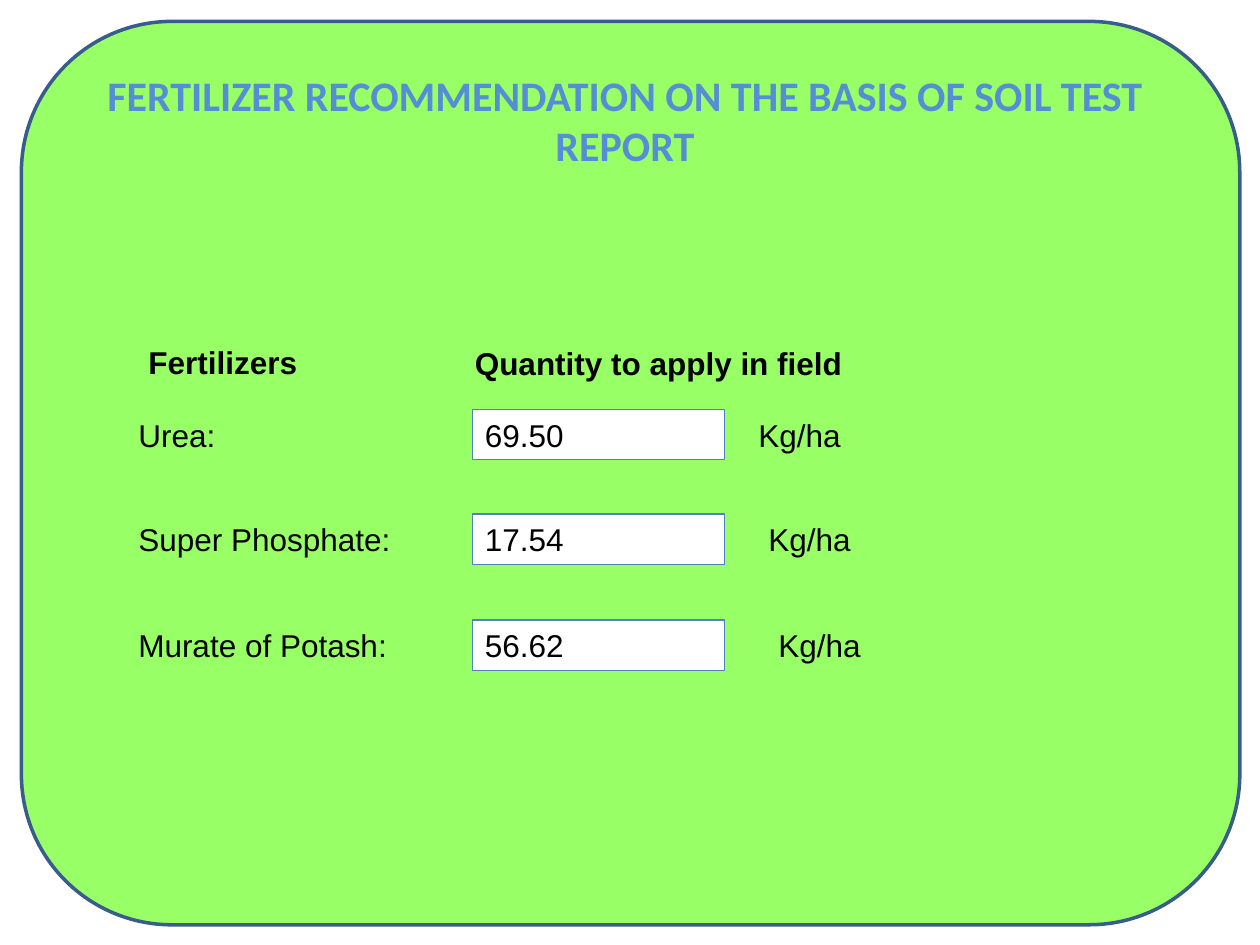
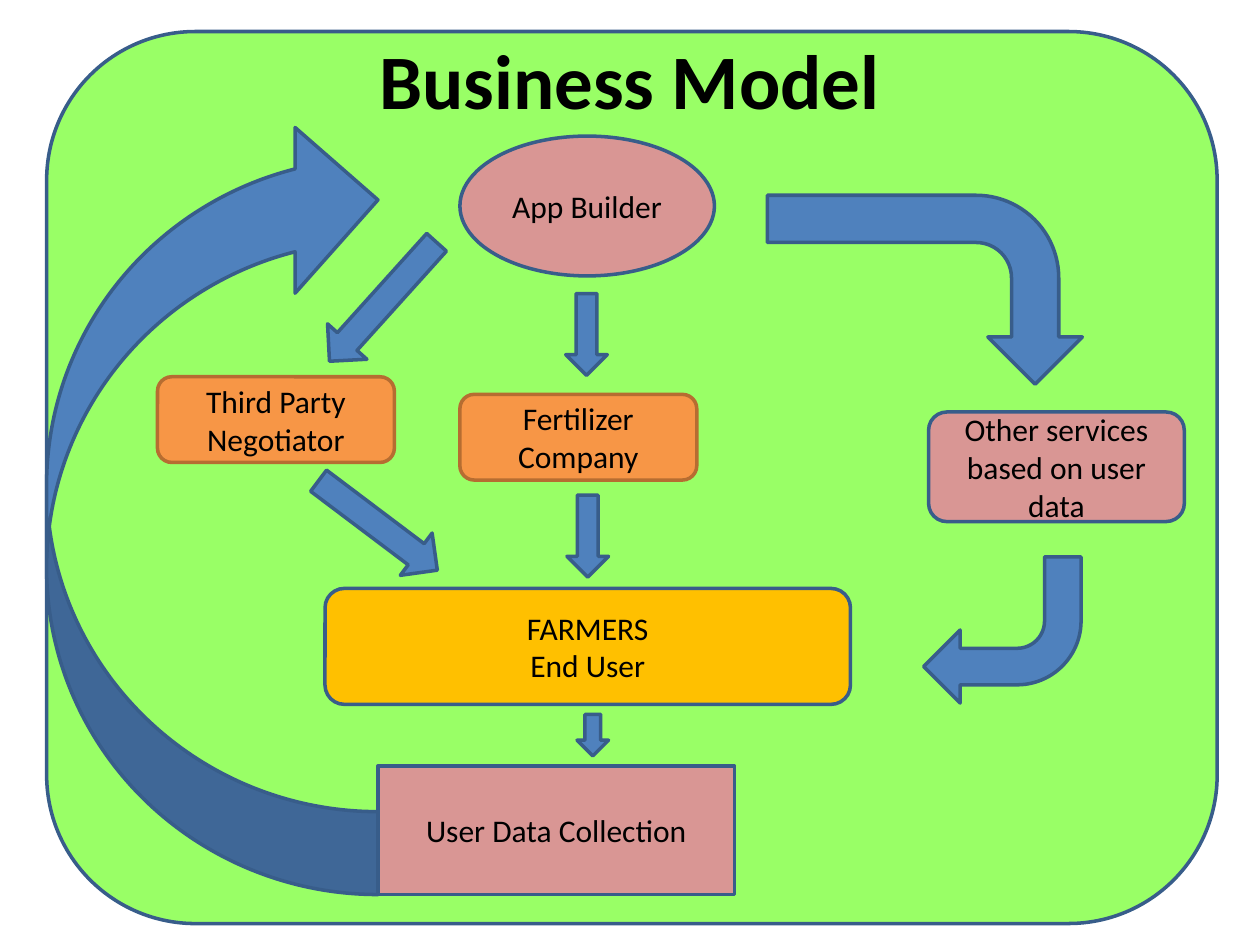
"""Build the fertilizer recommendation and business model slides."""
from pptx import Presentation
from pptx.dml.color import RGBColor
from pptx.enum.shapes import MSO_SHAPE
from pptx.enum.text import MSO_ANCHOR, MSO_AUTO_SIZE, PP_ALIGN
from pptx.util import Emu, Pt

PX = 9144
TITLE_ONLY = 5


def px(*lengths):
    return [Emu(length * PX) for length in lengths]


def color(hex_code):
    return RGBColor.from_string(hex_code)


def write(frame, text, size=18, font="Calibri", ink="000000", bold=False,
          align=PP_ALIGN.CENTER, anchor=MSO_ANCHOR.MIDDLE):
    frame.text = text
    frame.word_wrap = True
    frame.auto_size = MSO_AUTO_SIZE.NONE
    frame.vertical_anchor = anchor
    for paragraph in frame.paragraphs:
        paragraph.alignment = align
        paragraph.font.size = Pt(size)
        paragraph.font.name = font
        paragraph.font.bold = bold
        paragraph.font.color.rgb = color(ink)


class Deck:
    GREEN = "99FF66"
    BLUE = "4F81BD"
    NAVY = "385D8A"
    ROSE = "D99694"
    ORANGE = "F79646"
    RUST = "B66D31"
    GOLD = "FFC000"
    SKY = "558ED5"
    WHITE = "FFFFFF"
    FIELD = dict(font="Arial", align=PP_ALIGN.LEFT, anchor=MSO_ANCHOR.TOP)

    def __init__(self):
        self.presentation = Presentation()
        self.presentation.slide_width, self.presentation.slide_height = px(1000, 750)
        self.slide = None

    def start(self, heading, heading_at, panel_at, **style):
        layout = self.presentation.slide_layouts[TITLE_ONLY]
        self.slide = self.presentation.slides.add_slide(layout)
        title = self.slide.shapes.title
        title.left, title.top, title.width, title.height = px(*heading_at)
        write(title.text_frame, heading, bold=True, **style)
        panel = self.shape(MSO_SHAPE.ROUNDED_RECTANGLE, panel_at, self.GREEN)
        title.element.addprevious(panel.element)

    def shape(self, preset, at, fill, outline=NAVY, weight=2):
        shape = self.slide.shapes.add_shape(preset, *px(*at))
        shape.shadow.inherit = False
        shape.fill.solid()
        shape.fill.fore_color.rgb = color(fill)
        shape.line.color.rgb = color(outline)
        shape.line.width = Pt(weight)
        return shape

    def node(self, text, preset, at, fill, outline=NAVY):
        write(self.shape(preset, at, fill, outline).text_frame, text)

    def label(self, text, at, bold=False):
        box = self.slide.shapes.add_textbox(*px(*at))
        write(box.text_frame, text, bold=bold, **self.FIELD)

    def value(self, text, at):
        field = self.shape(MSO_SHAPE.RECTANGLE, at, self.WHITE, self.BLUE, 0.75)
        write(field.text_frame, text, **self.FIELD)

    def arrow(self, preset, at, rotation=0):
        arrow = self.shape(preset, at, self.BLUE)
        arrow.rotation = rotation
        return arrow

    def flipped_arrow(self, preset, at):
        self.arrow(preset, at).element.spPr.xfrm.set("flipV", "1")


def recommendation(deck):
    deck.start("FERTILIZER RECOMMENDATION ON THE BASIS OF SOIL TEST REPORT",
               (42, 50, 908, 90), (17, 17, 967, 717),
               size=24, ink=deck.SKY, anchor=MSO_ANCHOR.TOP)
    deck.label("Fertilizers", (108, 267, 217, 40), bold=True)
    deck.label("Quantity to apply in field", (367, 268, 442, 40), bold=True)
    doses = [("Urea:", "69.50"), ("Super Phosphate:", "17.54"),
             ("Murate of Potash:", "56.62")]
    for row, (fertilizer, quantity) in enumerate(doses):
        top = 325 + 167 * row // 2
        deck.label(fertilizer, (100, top, 233, 40))
        deck.value(quantity, (375, top, 200, 40))
        deck.label("Kg/ha", (592 + 8 * row, top, 100, 40))


def business_model(deck):
    deck.start("Business Model", (50, 8, 900, 109), (37, 25, 929, 708), size=44)
    rounded = MSO_SHAPE.ROUNDED_RECTANGLE
    deck.node("App Builder", MSO_SHAPE.OVAL, (365, 108, 202, 111), deck.ROSE)
    deck.node("Third Party Negotiator", rounded, (125, 299, 188, 68),
              deck.ORANGE, deck.RUST)
    deck.node("Other services based on user data", rounded,
              (737, 327, 203, 87), deck.ROSE)
    deck.node("Fertilizer Company", rounded, (365, 313, 188, 68),
              deck.ORANGE, deck.RUST)
    deck.node("FARMERS\nEnd User", rounded, (258, 467, 417, 92), deck.GOLD)
    deck.node("User Data Collection", MSO_SHAPE.RECTANGLE,
              (300, 608, 283, 102), deck.ROSE)
    deck.flipped_arrow(MSO_SHAPE.CURVED_RIGHT_ARROW, (37, 93, 263, 617))
    for at, rotation in [((449, 233, 33, 65), 0), ((450, 393, 33, 65), 0),
                         ((458, 567, 25, 33), 0), ((283, 176, 42, 127), 42),
                         ((279, 358, 42, 118), 307)]:
        deck.arrow(MSO_SHAPE.DOWN_ARROW, at, rotation)
    deck.arrow(MSO_SHAPE.BENT_ARROW, (659, 105, 150, 250), 90)
    deck.arrow(MSO_SHAPE.BENT_ARROW, (733, 442, 125, 116), 180)


def main():
    deck = Deck()
    recommendation(deck)
    business_model(deck)
    deck.presentation.save("out.pptx")


if __name__ == "__main__":
    main()
